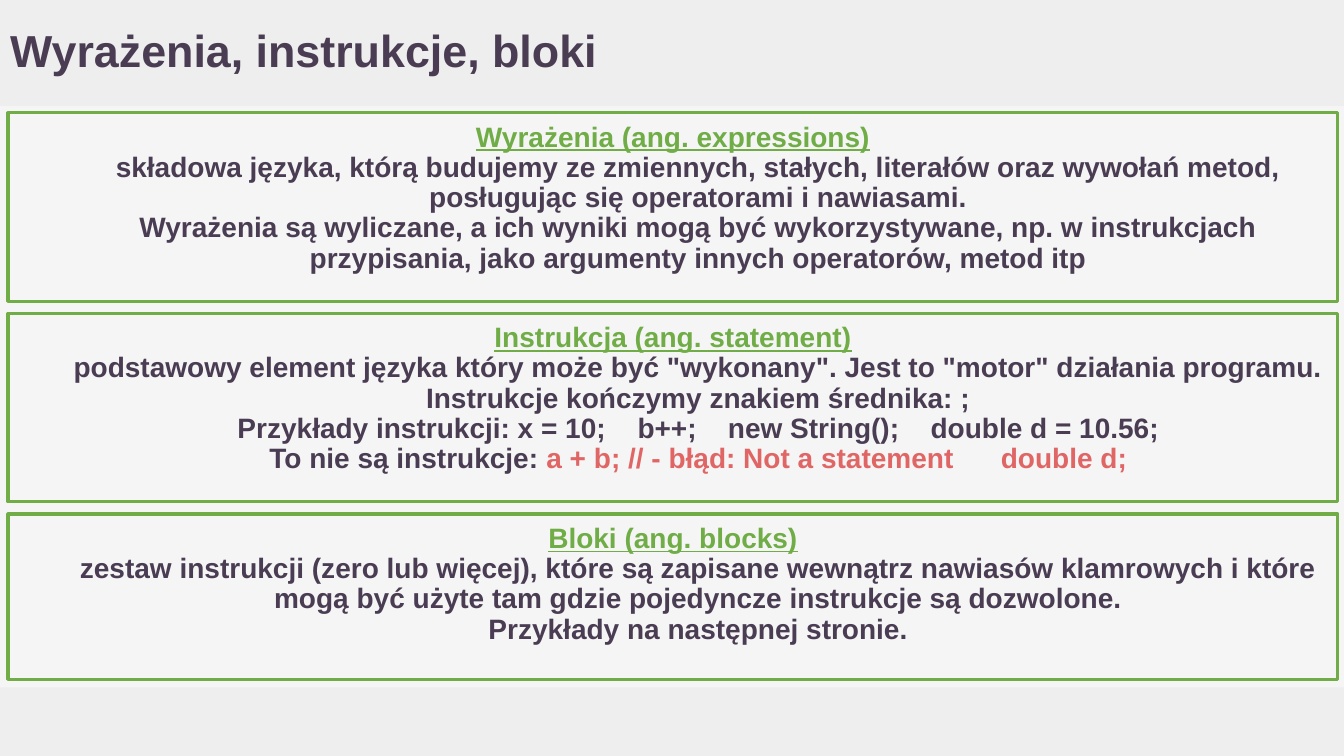
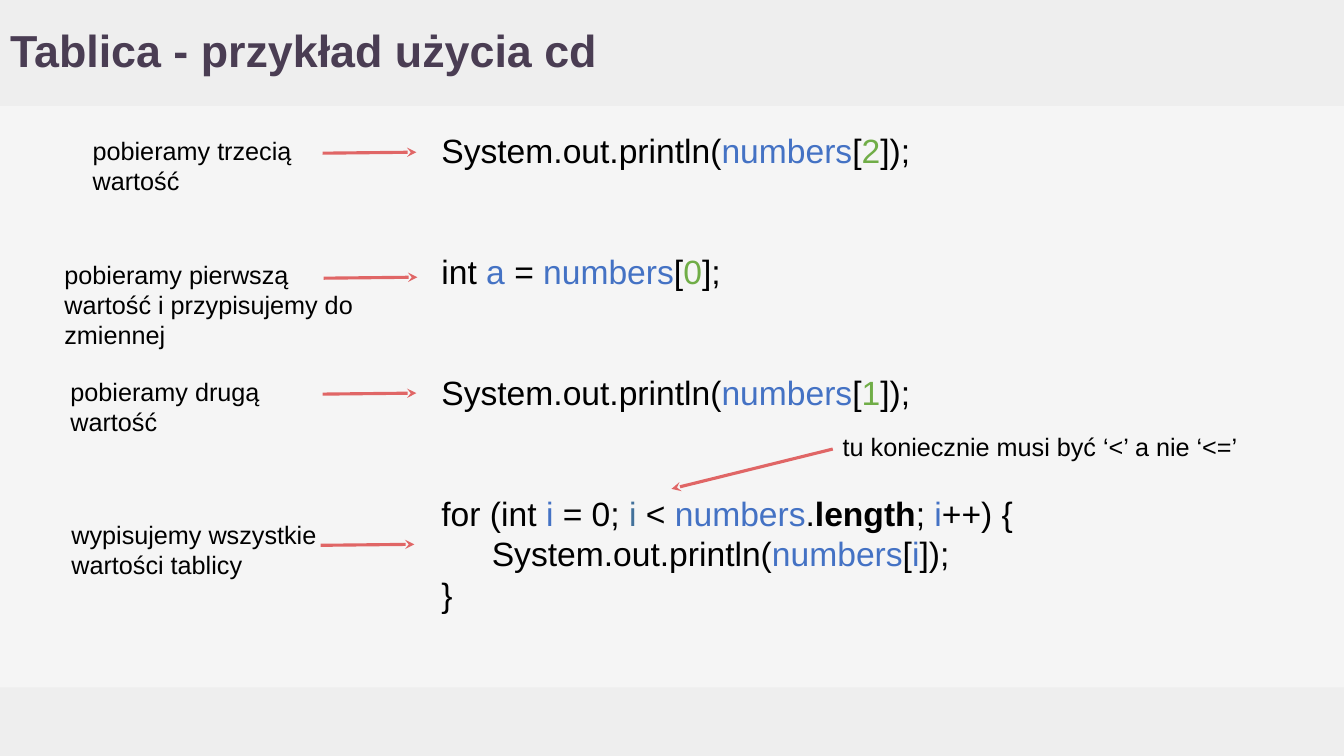
from dataclasses import dataclass

from lxml.etree import SubElement
from pptx import Presentation
from pptx.dml.color import RGBColor
from pptx.enum.shapes import MSO_CONNECTOR as Connector, MSO_SHAPE as Shape
from pptx.enum.text import MSO_ANCHOR as Anchor, MSO_AUTO_SIZE as AutoSize, PP_ALIGN as Align
from pptx.oxml.ns import qn
from pptx.util import Inches, Pt


@dataclass(frozen=True)
class Theme:
    font: str = "Arial"
    background: str = "F5F5F5"
    band: str = "EEEEEE"
    ink: str = "4A3D53"
    text: str = "000000"
    green: str = "70AD47"
    blue: str = "4472C4"
    dark_blue: str = "42719B"
    red: str = "E06666"
    title_size: float = 32
    code_size: float = 24
    body_size: float = 20
    label_size: float = 18
    line_width: float = 2.25
    tight: float = 0.9
    inset: float = 0.1


THEME = Theme()
WIDTH, HEIGHT = 13.33, 7.5
HEADER_HEIGHT, FOOTER_HEIGHT = 1.05, 0.68

GREEN = {"color": THEME.green}
BLUE = {"color": THEME.blue}
RED = {"color": THEME.red}
NUMBERS = ("numbers", BLUE)
# Widened single spaces that separate the sample statements.
GAP = (" ", {"spacing": 16.7})
WIDE_GAP = (" ", {"spacing": 27.8, **RED})

DEFINITIONS = [
    (1.87, "Wyrażenia (ang. expressions)", [
        ["składowa języka, którą budujemy ze zmiennych, stałych, literałów oraz "
         "wywołań metod, posługując się operatorami i nawiasami."],
        ["Wyrażenia są wyliczane, a ich wyniki mogą być wykorzystywane, np. w "
         "instrukcjach przypisania, jako argumenty innych operatorów, metod itp"],
    ]),
    (1.87, "Instrukcja (ang. statement)", [
        ['podstawowy element języka który może być "wykonany". Jest to "motor" '
         "działania programu. Instrukcje kończymy znakiem średnika: ;"],
        ["Przykłady instrukcji: x = 10;", GAP, "b++;", GAP, "new String();", GAP,
         "double d = 10.56;"],
        ["To nie są instrukcje: ", ("a + b; // - błąd: Not a statement", RED),
         WIDE_GAP, ("double d;", RED)],
    ]),
    (1.64, "Bloki (ang. blocks)", [
        ["zestaw instrukcji (zero lub więcej), które są zapisane wewnątrz nawiasów "
         "klamrowych i które mogą być użyte tam gdzie pojedyncze instrukcje są dozwolone."],
        ["Przykłady na następnej stronie."],
    ]),
]

STATEMENTS = [
    [["System.out.println(", NUMBERS, "[", ("2", GREEN), "]);"]],
    [["int ", ("a ", BLUE), "= ", NUMBERS, "[", ("0", GREEN), "];"]],
    [["System.out.println(", NUMBERS, "[", ("1", GREEN), "]);"]],
    [
        ["for (int ", ("i", BLUE), " = 0; ", ("i", {"color": THEME.dark_blue}), " < ",
         NUMBERS, ".", ("length", {"bold": True}), "; ", ("i", BLUE), "++) {"],
        ["\tSystem.out.println(", NUMBERS, "[", ("i", BLUE), "]);"],
        ["}"],
    ],
]

# Label text, its left, top and width, then the start of its arrow.
LABELS = [
    ("pobieramy trzecią wartość", (0.82, 1.24, 2.31), (3.2, 1.52)),
    ("pobieramy pierwszą wartość i przypisujemy do zmiennej", (0.54, 2.47, 3.32), (3.21, 2.76)),
    ("pobieramy drugą wartość", (0.6, 3.63, 2.54), (3.2, 3.91)),
    ("wypisujemy wszystkie wartości tablicy", (0.61, 5.05, 2.83), (3.18, 5.41)),
]
LABEL_HEIGHT = 0.55
ARROW_LENGTH, ARROW_RISE = 0.93, 0.01


def rgb(color):
    return RGBColor.from_string(color)


def box(left, top, width, height):
    return [Inches(value) for value in (left, top, width, height)]


def prepare_frame(shape, anchor=Anchor.TOP):
    frame = shape.text_frame
    frame.word_wrap = True
    frame.auto_size = AutoSize.NONE
    frame.vertical_anchor = anchor
    frame.margin_left = frame.margin_right = Inches(THEME.inset)
    frame.margin_top = frame.margin_bottom = Inches(THEME.inset)
    return frame


def write(frame, runs, *, size, color=THEME.text, bold=False, underline=False,
          align=Align.LEFT, line_spacing=1.0, indent=0, space_before=0):
    """Add a paragraph; each run is a string or a (text, changed format) pair."""
    paragraph = frame.add_paragraph() if frame.text else frame.paragraphs[0]
    paragraph.alignment = align
    paragraph.line_spacing = line_spacing
    paragraph.space_before = Pt(space_before)
    if indent:
        properties = paragraph._p.get_or_add_pPr()
        properties.set("marL", str(Inches(indent)))
        properties.set("indent", "0")
    for item in runs:
        text, changes = (item, {}) if isinstance(item, str) else item
        run = paragraph.add_run()
        run.text = text
        font = run.font
        font.name = THEME.font
        font.size = Pt(size)
        font.bold = changes.get("bold", bold)
        font.underline = underline
        font.color.rgb = rgb(changes.get("color", color))
        if "spacing" in changes:
            run._r.get_or_add_rPr().set("spc", str(round(changes["spacing"] * 100)))


def add_rectangle(slide, bounds, fill=None, line=None):
    shape = slide.shapes.add_shape(Shape.RECTANGLE, *box(*bounds))
    shape.shadow.inherit = False
    if fill:
        shape.fill.solid()
        shape.fill.fore_color.rgb = rgb(fill)
    else:
        shape.fill.background()
    if line:
        shape.line.color.rgb = rgb(line)
        shape.line.width = Pt(THEME.line_width)
    else:
        shape.line.fill.background()
    return shape


def add_arrow(slide, start, end):
    points = [Inches(value) for value in (*start, *end)]
    arrow = slide.shapes.add_connector(Connector.STRAIGHT, *points)
    arrow.line.color.rgb = rgb(THEME.red)
    arrow.line.width = Pt(THEME.line_width)
    SubElement(arrow.line._get_or_add_ln(), qn("a:tailEnd"), type="stealth")
    SubElement(arrow._element.spPr, qn("a:effectLst"))
    return arrow


def add_label(slide, text, left, top, width):
    label = slide.shapes.add_textbox(*box(left, top, width, LABEL_HEIGHT))
    write(prepare_frame(label), [text], size=THEME.label_size)
    return label


def style_master(presentation, slide):
    """Set the background and move both bands from the slide to its master."""
    master = presentation.slide_master
    master.background.fill.solid()
    master.background.fill.fore_color.rgb = rgb(THEME.background)
    bands = [(0, 0, WIDTH, HEADER_HEIGHT),
             (0, HEIGHT - FOOTER_HEIGHT, WIDTH, FOOTER_HEIGHT)]
    for number, bounds in enumerate(bands, start=101):
        band = add_rectangle(slide, bounds, fill=THEME.band).element
        band.nvSpPr.cNvPr.id = number
        master.shapes.element.insert(2, band)


def add_titled_slide(presentation, title):
    slide = presentation.slides.add_slide(presentation.slide_layouts.get_by_name("Title Only"))
    shape = slide.shapes.title
    shape.left, shape.top, shape.width, shape.height = box(0, 0, 11.92, HEADER_HEIGHT)
    write(prepare_frame(shape, Anchor.MIDDLE), [title], size=THEME.title_size,
          color=THEME.ink, bold=True, line_spacing=THEME.tight)
    return slide


def add_definition(slide, bounds, heading, body):
    frame = prepare_frame(add_rectangle(slide, bounds, line=THEME.green))
    style = {"size": THEME.body_size, "bold": True, "align": Align.CENTER,
             "line_spacing": THEME.tight}
    write(frame, [heading], color=THEME.green, underline=True, **style)
    for runs in body:
        write(frame, runs, color=THEME.ink, indent=0.5, **style)


def add_definitions(slide, left, top, width, gap):
    for height, heading, body in DEFINITIONS:
        add_definition(slide, (left, top, width, height), heading, body)
        top += height + gap


def add_code(slide, bounds):
    frame = prepare_frame(slide.shapes.add_textbox(*box(*bounds)))
    statement_gap = 2 * 1.2 * THEME.code_size
    for index, lines in enumerate(STATEMENTS):
        for number, runs in enumerate(lines):
            opens_statement = index > 0 and number == 0
            write(frame, runs, size=THEME.code_size,
                  space_before=statement_gap if opens_statement else 0)


def add_explanations(slide):
    for text, place, (x, y) in LABELS:
        add_label(slide, text, *place)
        add_arrow(slide, (x, y), (x + ARROW_LENGTH, y - ARROW_RISE))


def add_warning(slide, left, top):
    label = add_label(slide, "tu koniecznie musi być ‘<’ a nie ‘<=’", left, top, 4.63)
    start = (left, top + LABEL_HEIGHT / 2)
    arrow = add_arrow(slide, start, (left - 1.6, top + 0.67))
    arrow.begin_connect(label, 1)


def main():
    presentation = Presentation()
    presentation.slide_width, presentation.slide_height = Inches(WIDTH), Inches(HEIGHT)

    definitions = add_titled_slide(presentation, "Wyrażenia, instrukcje, bloki")
    style_master(presentation, definitions)
    add_definitions(definitions, left=0.08, top=1.12, width=13.19, gap=0.12)

    example = add_titled_slide(presentation, "Tablica - przykład użycia cd")
    add_code(example, (4.28, 1.19, 6.24, 5.59))
    add_explanations(example)
    add_warning(example, left=8.26, top=4.18)

    presentation.save("out.pptx")


if __name__ == "__main__":
    main()
